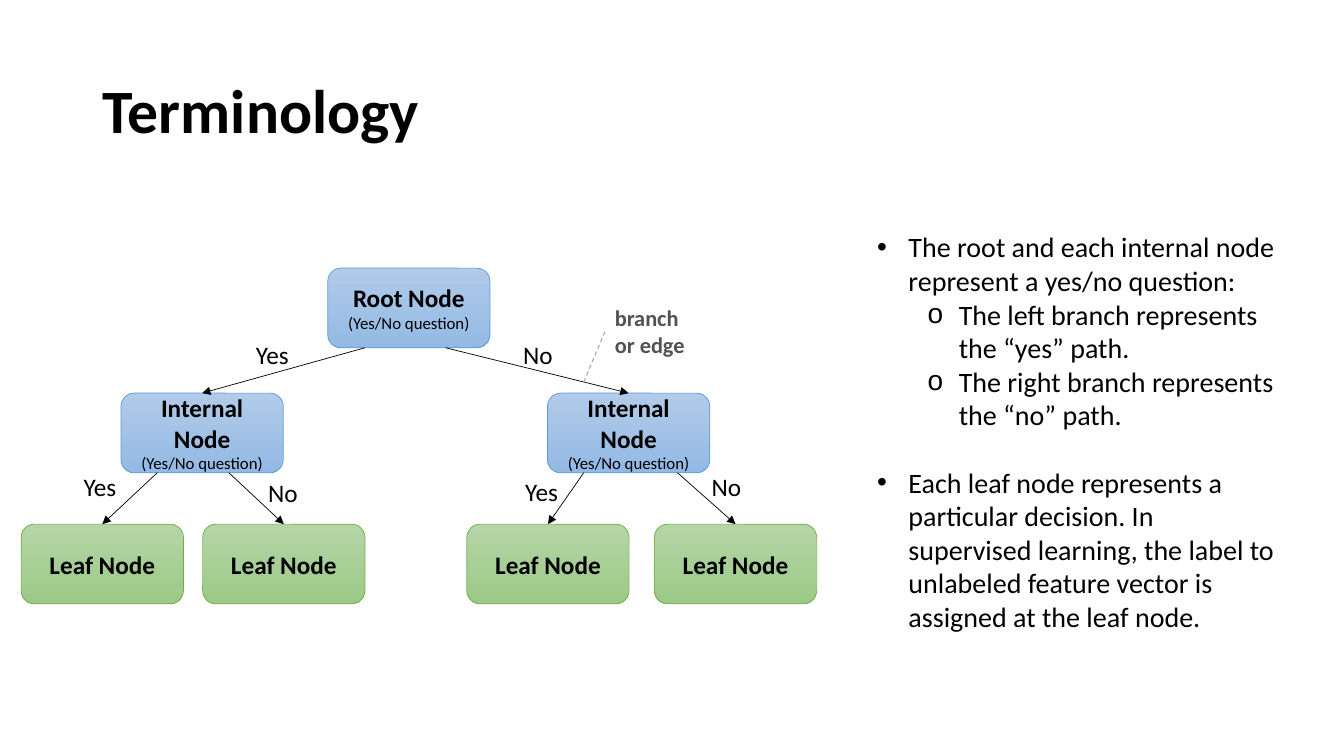
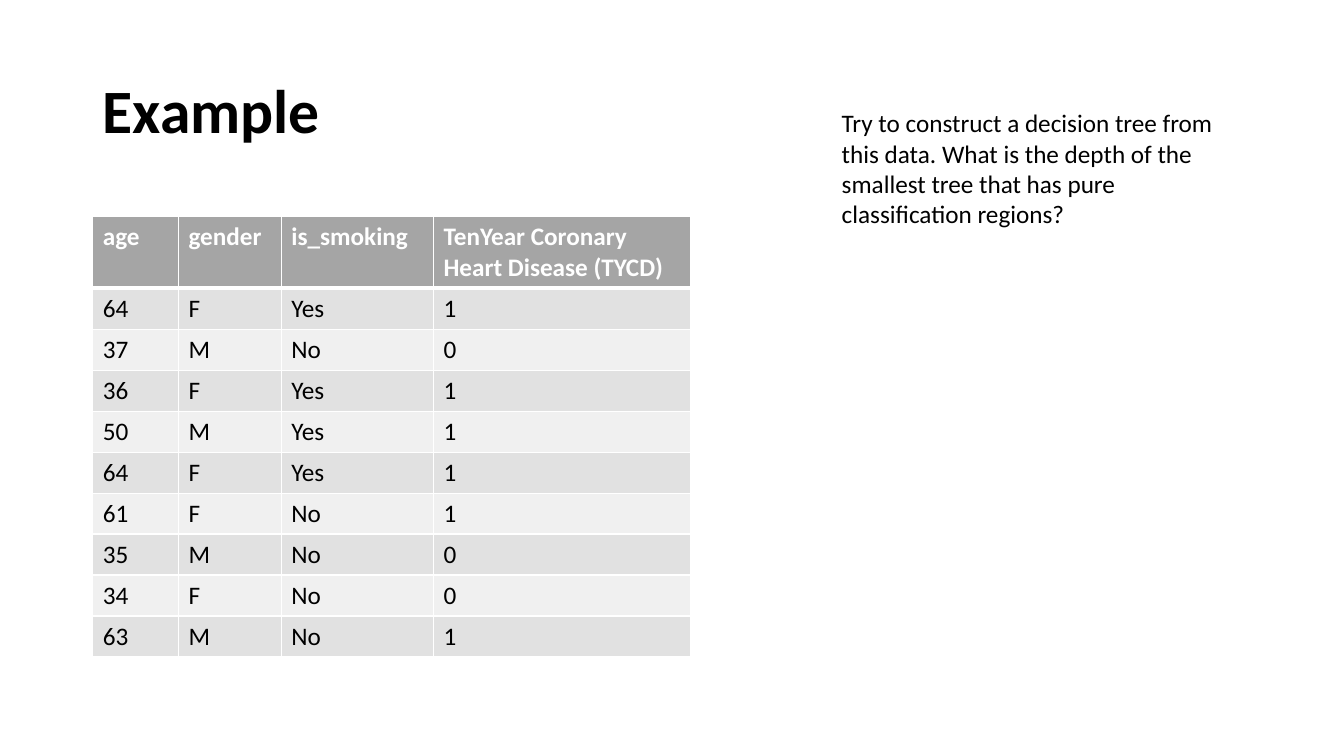
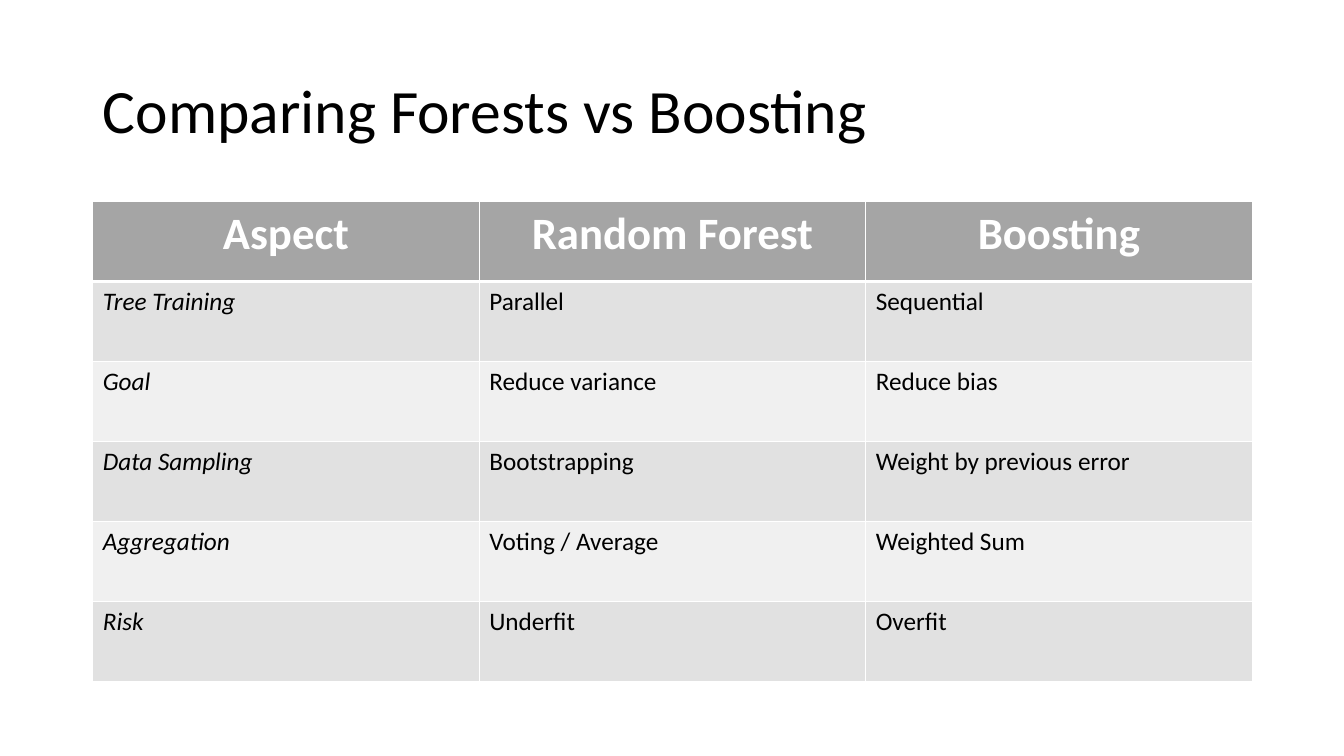
from lxml import etree
from pptx import Presentation
from pptx.dml.color import RGBColor
from pptx.enum.dml import MSO_LINE
from pptx.enum.shapes import MSO_CONNECTOR, MSO_SHAPE
from pptx.enum.text import MSO_ANCHOR, MSO_AUTO_SIZE, PP_ALIGN
from pptx.oxml.ns import qn
from pptx.util import Inches, Pt

FONT = "Calibri"
BLACK = RGBColor(0x00, 0x00, 0x00)
WHITE = RGBColor(0xFF, 0xFF, 0xFF)
DARK_GRAY = RGBColor(0x52, 0x52, 0x52)
GRAY = RGBColor(0xA5, 0xA5, 0xA5)
BANDS = RGBColor(0xE1, 0xE1, 0xE1), RGBColor(0xF0, 0xF0, 0xF0)
# Gradient top, gradient bottom, outline
BLUE = RGBColor(0xB1, 0xCB, 0xE9), RGBColor(0x93, 0xB9, 0xE4), RGBColor(0x5B, 0x9B, 0xD5)
GREEN = RGBColor(0xB5, 0xD5, 0xA7), RGBColor(0x9C, 0xC9, 0x87), RGBColor(0x70, 0xAD, 0x47)

TITLE_AND_CONTENT, TITLE_ONLY = 1, 5
NODE_W, NODE_H = 1.61, 0.79
QUESTION = "\n(Yes/No question)"


def place(sp, left, top, width, height):
    sp.left, sp.top = Inches(left), Inches(top)
    sp.width, sp.height = Inches(width), Inches(height)


def style(p, size=18, color=BLACK, bold=False, italic=False, align=PP_ALIGN.LEFT):
    p.alignment = align
    for r in p.runs:
        font = r.font
        font.name, font.size = FONT, Pt(size)
        font.bold, font.italic = bold, italic
        font.color.rgb = color


def set_border(cell, side, width):
    """Draw one white cell edge; side is L, R, T or B and width is in points."""
    ln = etree.SubElement(cell._tc.get_or_add_tcPr(), qn(f"a:ln{side}"), w=str(Pt(width)))
    fill = etree.SubElement(ln, qn("a:solidFill"))
    etree.SubElement(fill, qn("a:srgbClr"), val=str(WHITE))


class Deck:
    def __init__(self):
        self.prs = Presentation()
        self.prs.slide_width, self.prs.slide_height = Inches(13.33), Inches(7.5)
        self.slide = None

    def add_slide(self, title, layout=TITLE_ONLY, bold=True):
        self.slide = self.prs.slides.add_slide(self.prs.slide_layouts[layout])
        sp = self.slide.shapes.title
        place(sp, 0.92, 0.4, 11.5, 1.45)
        tf = sp.text_frame
        tf.text = title
        tf.vertical_anchor = MSO_ANCHOR.MIDDLE
        tf.auto_size = MSO_AUTO_SIZE.NONE
        p = tf.paragraphs[0]
        p.line_spacing = 0.9
        style(p, 44, bold=bold)

    def bullets(self, items, left, top, width, height):
        """Fill the body placeholder from (level, text, points before) items."""
        sp = self.slide.placeholders[1]
        place(sp, left, top, width, height)
        tf = sp.text_frame
        tf.auto_size = MSO_AUTO_SIZE.NONE
        tf.text = "\n".join(text for _, text, _ in items)
        for p, (level, _, before) in zip(tf.paragraphs, items):
            pPr = p._p.get_or_add_pPr()
            pPr.set("marL", str(Inches(0.31 + 0.5 * level)))
            pPr.set("indent", str(Inches(-0.31)))
            etree.SubElement(pPr, qn("a:buChar"), char="•o"[level])
            p.level = level
            p.space_before = Pt(before)
            style(p, 20)

    def text(self, text, left, top, width, height, **look):
        sp = self.slide.shapes.add_textbox(
            Inches(left), Inches(top), Inches(width), Inches(height))
        tf = sp.text_frame
        tf.word_wrap = True
        tf.text = text
        for p in tf.paragraphs:
            style(p, **look)

    def node(self, text, left, top, colors):
        """Add a tree node; lines after the first are small and not bold."""
        sp = self.slide.shapes.add_shape(
            MSO_SHAPE.ROUNDED_RECTANGLE,
            Inches(left), Inches(top), Inches(NODE_W), Inches(NODE_H))
        sp.shadow.inherit = False
        sp.fill.gradient()
        sp.fill.gradient_angle = 270
        for stop, position, color in zip(sp.fill.gradient_stops, (0, 1), colors):
            stop.position = position
            stop.color.rgb = color
        sp.line.color.rgb = colors[2]
        sp.line.width = Pt(0.5)
        sp.text_frame.text = text
        for i, p in enumerate(sp.text_frame.paragraphs):
            style(p, 12 if i else 18, bold=i == 0, align=PP_ALIGN.CENTER)
        return sp

    def line(self, x1, y1, x2, y2, color=BLACK, width=0.5):
        cn = self.slide.shapes.add_connector(
            MSO_CONNECTOR.STRAIGHT, Inches(x1), Inches(y1), Inches(x2), Inches(y2))
        cn.line.color.rgb = color
        cn.line.width = Pt(width)
        etree.SubElement(cn._element.spPr, qn("a:effectLst"))
        return cn

    def branch(self, x, y, child):
        """Draw an arrow from a point to the top of a child node."""
        cn = self.line(x, y, x, y)
        cn.end_connect(child, 0)
        etree.SubElement(cn.line._get_or_add_ln(), qn("a:tailEnd"), type="triangle")

    def table(self, rows, top, widths, heights, header_size=18,
              header_align=PP_ALIGN.LEFT, italic_first=False):
        table = self.slide.shapes.add_table(
            len(rows), len(widths), Inches(0.92), Inches(top),
            Inches(sum(widths)), Inches(sum(heights))).table
        for column, width in zip(table.columns, widths):
            column.width = Inches(width)
        for i, (row, height) in enumerate(zip(rows, heights)):
            table.rows[i].height = Inches(height)
            for j, text in enumerate(row):
                cell = table.cell(i, j)
                for side in "LRTB":
                    heavy = (i, side) in ((0, "B"), (1, "T"))
                    set_border(cell, side, 3 if heavy else 1)
                cell.fill.solid()
                cell.fill.fore_color.rgb = BANDS[(i - 1) % 2] if i else GRAY
                cell.text = text
                for p in cell.text_frame.paragraphs:
                    if i:
                        style(p, italic=italic_first and j == 0)
                    else:
                        style(p, header_size, WHITE, bold=True, align=header_align)


def terminology(deck):
    deck.add_slide("Terminology", TITLE_AND_CONTENT)
    deck.node("Root Node" + QUESTION, 3.25, 2.66, BLUE)
    inner = [deck.node("Internal Node" + QUESTION, x, 3.9, BLUE) for x in (1.2, 5.43)]
    leaves = [deck.node("Leaf Node", x, 5.2, GREEN) for x in (0.21, 2.01, 4.63, 6.49)]
    for x, child in zip((3.62, 4.42), inner):
        deck.branch(x, 2.66 + NODE_H, child)
    for x, child in zip((1.56, 2.27, 5.79, 6.72), leaves):
        deck.branch(x, 3.9 + NODE_H, child)
    for text, x, y in (("Yes", 2.44, 3.32), ("No", 5.09, 3.32), ("Yes", 0.73, 4.63),
                       ("No", 2.56, 4.69), ("Yes", 5.11, 4.68), ("No", 6.96, 4.63)):
        deck.text(text, x, y, 0.71, 0.4)
    deck.text("branch\nor edge", 6, 2.97, 1.26, 0.64, size=16, color=DARK_GRAY, bold=True)
    deck.line(5.79, 3.79, 6, 3.29, GRAY, 0.75).line.dash_style = MSO_LINE.DASH
    deck.bullets([
        (0, "The root and each internal node represent a yes/no question:", 0),
        (1, "The left branch represents the “yes” path.", 0),
        (1, "The right branch represents the “no” path.", 0),
        (0, "Each leaf node represents a particular decision. In supervised learning, "
            "the label to unlabeled feature vector is assigned at the leaf node.", 24),
    ], 8.6, 2.23, 4.16, 4.14)


def example(deck):
    deck.add_slide("Example")
    deck.table([
        ("age", "gender", "is_smoking", "TenYear Coronary\nHeart Disease (TYCD)"),
        ("64", "F", "Yes", "1"),
        ("37", "M", "No", "0"),
        ("36", "F", "Yes", "1"),
        ("50", "M", "Yes", "1"),
        ("64", "F", "Yes", "1"),
        ("61", "F", "No", "1"),
        ("35", "M", "No", "0"),
        ("34", "F", "No", "0"),
        ("63", "M", "No", "1"),
    ], 2.15, (0.85, 1.02, 1.51, 2.55), [0.7] + [3.66 / 9] * 9)
    deck.text("Try to construct a decision tree from this data. What is the depth of the "
              "smallest tree that has pure classification regions?", 8.25, 1.02, 4.25, 1.31)


def comparison(deck):
    deck.add_slide("Comparing Forests vs Boosting", bold=False)
    deck.table([
        ("Aspect", "Random Forest", "Boosting"),
        ("Tree Training", "Parallel", "Sequential"),
        ("Goal", "Reduce variance", "Reduce bias"),
        ("Data Sampling", "Bootstrapping", "Weight by previous error"),
        ("Aggregation", "Voting / Average", "Weighted Sum"),
        ("Risk", "Underfit", "Overfit"),
    ], 2, [11.5 / 3] * 3, [4.76 / 6] * 6, 32, PP_ALIGN.CENTER, italic_first=True)


def main():
    deck = Deck()
    terminology(deck)
    example(deck)
    comparison(deck)
    deck.prs.save("out.pptx")


if __name__ == "__main__":
    main()
